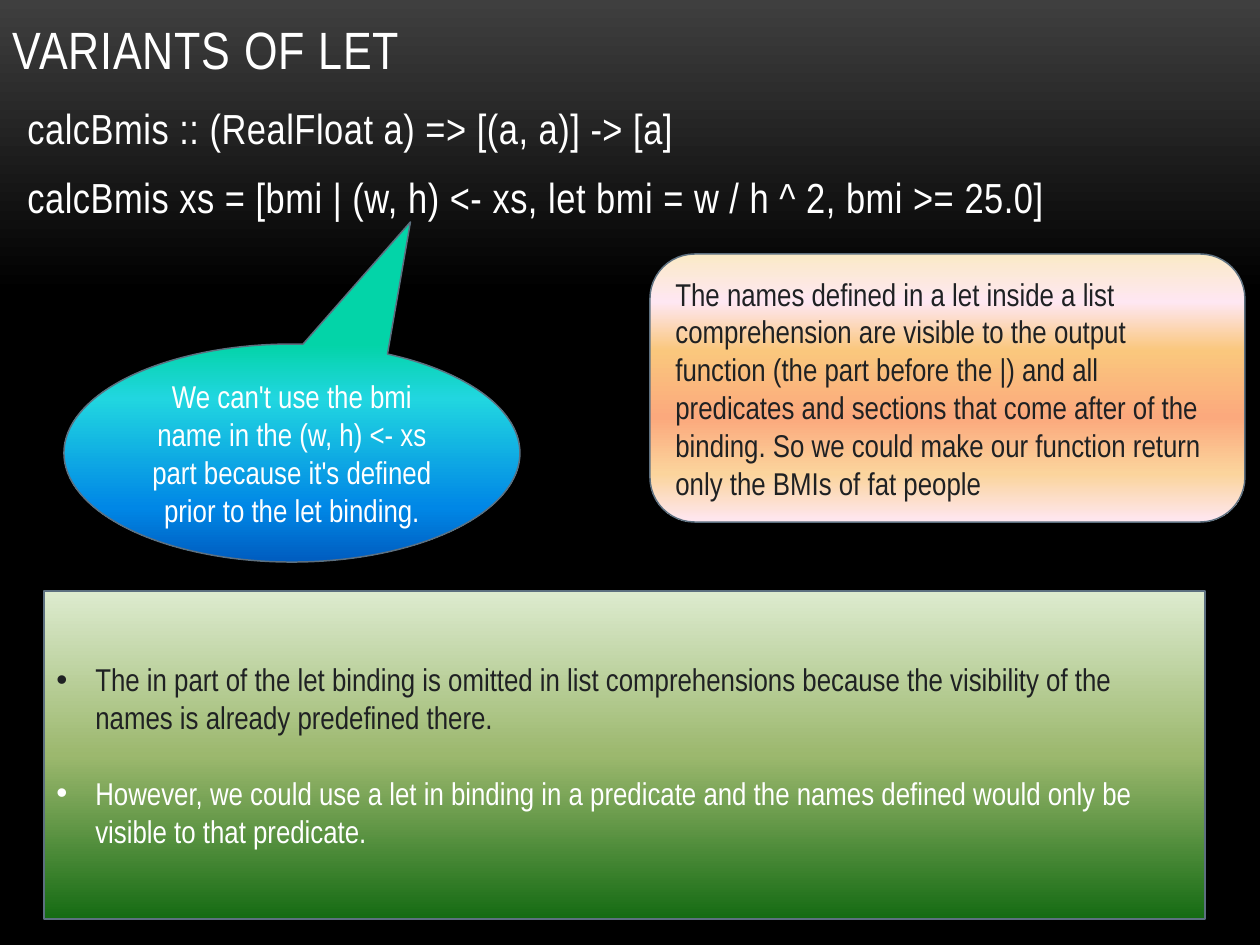
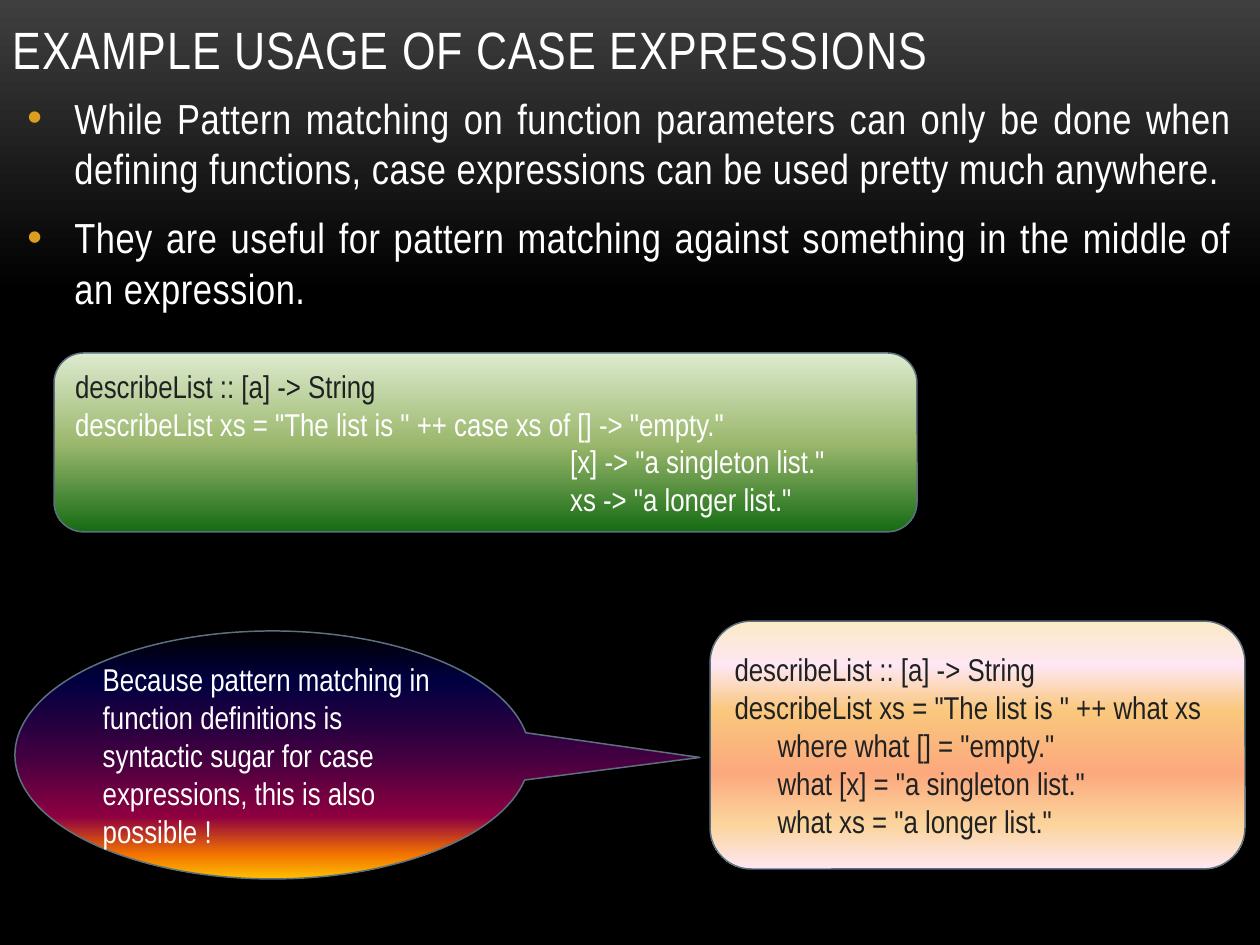
from pptx import Presentation
from pptx.dml.color import RGBColor
from pptx.enum.shapes import MSO_SHAPE
from pptx.enum.text import MSO_ANCHOR, MSO_AUTO_SIZE, PP_ALIGN
from pptx.oxml.ns import qn
from pptx.util import Emu, Pt
from lxml.etree import SubElement

FONT = "Arial Narrow"
COLORS = {"white": "FFFFFF", "ink": "1F2123", "edge": "5D7080", "gold": "DC9E1F"}
FADES = {
    "night": [(0, "3F3F3F"), (31, "000000"), (100, "000000")],
    "peach": [(0, "FBEAC7"), (18, "FEE7F2"), (36, "FAC77D"),
              (61, "FBA97D"), (82, "FBD49C"), (100, "FEE7F2")],
    "ocean": [(0, "03D4A8"), (25, "21D6E0"), (75, "0087E6"), (100, "005CBF")],
    "leaf": [(0, "DDEBCF"), (50, "9CB86E"), (100, "156B13")],
    "dusk": [(0, "000000"), (20, "000040"), (50, "400040"),
             (75, "8F0040"), (90, "F27300"), (100, "FFBF00")],
}


def px(n):
    return Emu(round(n * 914400 / 126))


def fade(fill, root, name):
    """Fill with a named top-to-bottom gradient; root is the element that owns the fill."""
    fill.gradient()
    fill.gradient_angle = 270
    stops = next(root.iter(qn("a:gsLst")))
    for old in list(stops):
        stops.remove(old)
    for spot, color in FADES[name]:
        stop = SubElement(stops, qn("a:gs"), pos=str(spot * 1000))
        SubElement(stop, qn("a:srgbClr"), val=color)


def write(frame, text, size=18, color="white", align=PP_ALIGN.LEFT, before=0,
          after=0, track=0, indent=0, bullet=False, dot=None):
    """Add one paragraph; indent is in px, track in points."""
    para = frame.paragraphs[0] if not frame.text else frame.add_paragraph()
    para.alignment = align
    para.space_before, para.space_after = Pt(before), Pt(after)
    props = para._p.get_or_add_pPr()
    props.set("marL", str(px(indent)))
    props.set("indent", str(px(-indent if bullet else 0)))
    if bullet:
        if dot:
            SubElement(SubElement(props, qn("a:buClr")), qn("a:srgbClr"), val=COLORS[dot])
        SubElement(props, qn("a:buFont"), typeface="Arial")
        SubElement(props, qn("a:buChar"), char="•")
    run = para.add_run()
    run.text = text
    run.font.name, run.font.size = FONT, Pt(size)
    run.font.color.rgb = RGBColor.from_string(COLORS[color])
    if track:
        run._r.get_or_add_rPr().set("spc", str(round(track * 100)))


class Deck:
    def __init__(self):
        self.prs = Presentation()
        self.prs.slide_width, self.prs.slide_height = px(1260), px(945)
        master = self.prs.slide_master
        fade(master.background.fill, master.element, "night")
        self.slide = None

    def page(self, title):
        self.slide = self.prs.slides.add_slide(self.prs.slide_layouts[5])
        head = self.slide.shapes.title
        head.left, head.top, head.width, head.height = px(0), px(0), px(1092), px(86)
        frame = head.text_frame
        frame.auto_size = MSO_AUTO_SIZE.NONE
        frame.vertical_anchor = MSO_ANCHOR.BOTTOM
        write(frame, title, size=30, track=0.5)

    def body(self, top, high, lines, **form):
        box = self.slide.shapes.add_textbox(px(15), px(top), px(1230), px(high))
        box.text_frame.word_wrap = True
        for line in lines:
            write(box.text_frame, line, size=24, before=4.8, after=6, track=0.3, **form)

    def panel(self, kind, left, top, wide, high, look, lines, tip=()):
        """Add a gradient shape; lines are (text, format) pairs, tip is the callout point."""
        shape = self.slide.shapes.add_shape(kind, px(left), px(top), px(wide), px(high))
        shape.shadow.inherit = False
        for i, part in enumerate(tip):
            shape.adjustments[i] = part
        fade(shape.fill, shape.element, look)
        shape.line.color.rgb = RGBColor.from_string(COLORS["edge"])
        shape.line.width = Pt(0.85)
        frame = shape.text_frame
        frame.word_wrap = True
        frame.vertical_anchor = MSO_ANCHOR.MIDDLE
        for text, form in lines:
            write(frame, text, **form)


def main():
    deck = Deck()
    card = MSO_SHAPE.FLOWCHART_ALTERNATE_PROCESS
    bubble = MSO_SHAPE.OVAL_CALLOUT
    dark = {"color": "ink"}

    deck.page("VARIANTS OF LET")
    deck.body(96, 824, [
        "calcBmis :: (RealFloat a) => [(a, a)] -> [a]",
        "calcBmis xs = [bmi | (w, h) <- xs, let bmi = w / h ^ 2, bmi >= 25.0]"])
    deck.panel(card, 650, 254, 595, 268, "peach", [
        ("The names defined in a let inside a list comprehension are visible to the "
         "output function (the part before the |) and all predicates and sections that "
         "come after of the binding. So we could make our function return only the "
         "BMIs of fat people", dark)])
    deck.panel(bubble, 64, 344, 456, 218, "ocean", [
        ("We can't use the bmi name in the (w, h) <- xs part because it's defined "
         "prior to the let binding.", {"align": PP_ALIGN.CENTER})], tip=(0.26, -1.06))
    point = {"indent": 39, "bullet": True}
    deck.panel(MSO_SHAPE.FLOWCHART_PROCESS, 44, 591, 1161, 328, "leaf", [
        ("The in part of the let binding is omitted in list comprehensions because the "
         "visibility of the names is already predefined there.", dark | point),
        ("However, we could use a let in binding in a predicate and the names defined "
         "would only be visible to that predicate.", point | {"before": 21.6})])

    deck.page("EXAMPLE USAGE OF CASE EXPRESSIONS")
    deck.body(86, 843, [
        "While Pattern matching on function parameters can only be done when defining "
        "functions, case expressions can be used pretty much anywhere.",
        "They are useful for pattern matching against something in the middle of an "
        "expression."], align=PP_ALIGN.JUSTIFY, indent=47, bullet=True, dot="gold")
    case = {"indent": 495}
    deck.panel(card, 54, 353, 863, 179, "leaf", [
        ("describeList :: [a] -> String", dark),
        ('describeList xs = "The list is " ++ case xs of [] -> "empty."', {}),
        ('[x] -> "a singleton list."', case),
        ('xs -> "a longer list."', case)])
    where = dark | {"indent": 43}
    deck.panel(card, 710, 621, 535, 248, "peach", [
        ("describeList :: [a] -> String", dark),
        ('describeList xs = "The list is " ++ what xs', dark),
        ('where what [] = "empty."', where),
        ('what [x] = "a singleton list."', where),
        ('what xs = "a longer list."', where)])
    deck.panel(bubble, 15, 631, 515, 248, "dusk", [
        ("Because pattern matching in function definitions is syntactic sugar for case "
         "expressions, this is also possible !", {})], tip=(0.83, 0.01))

    deck.prs.save("out.pptx")


if __name__ == "__main__":
    main()
